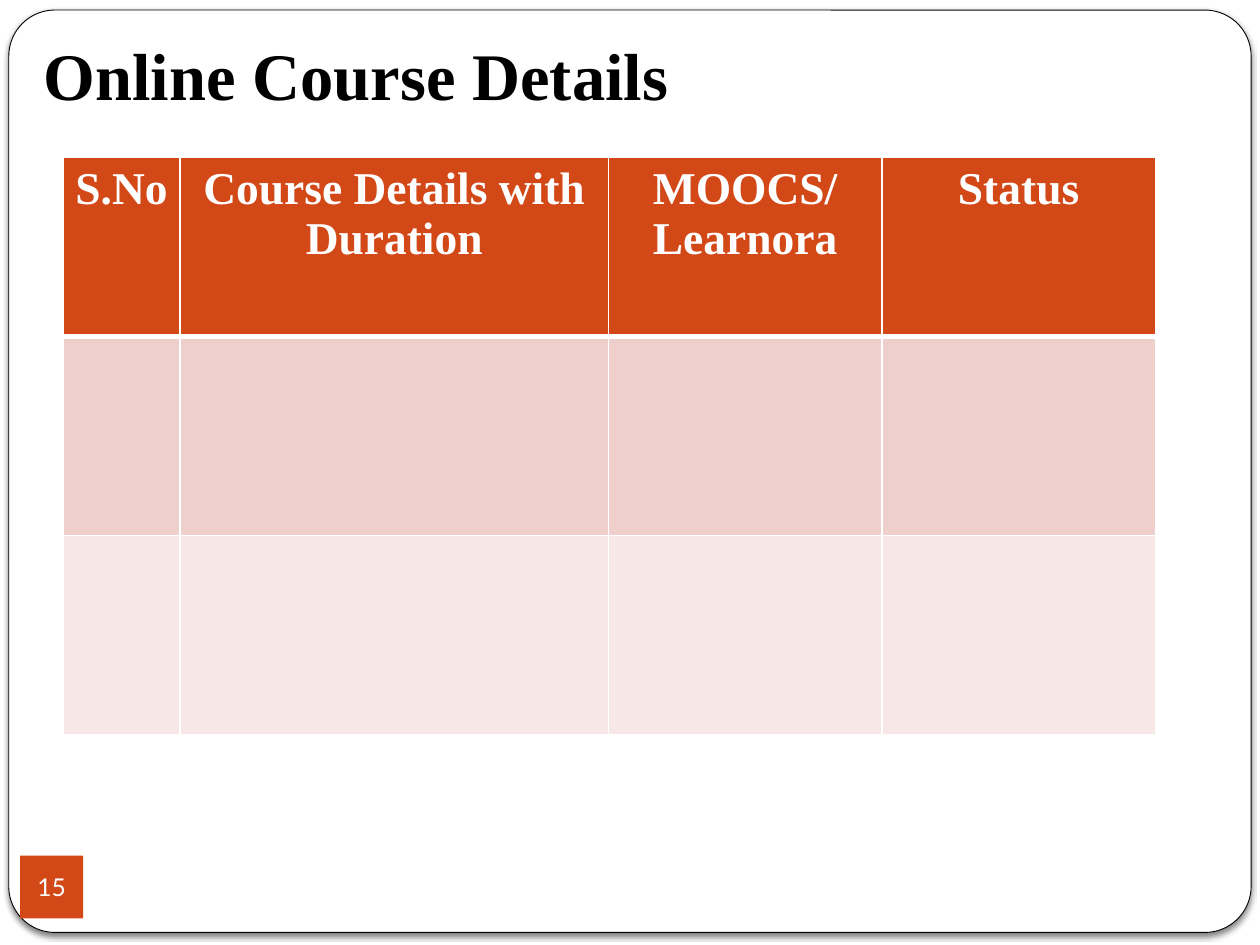
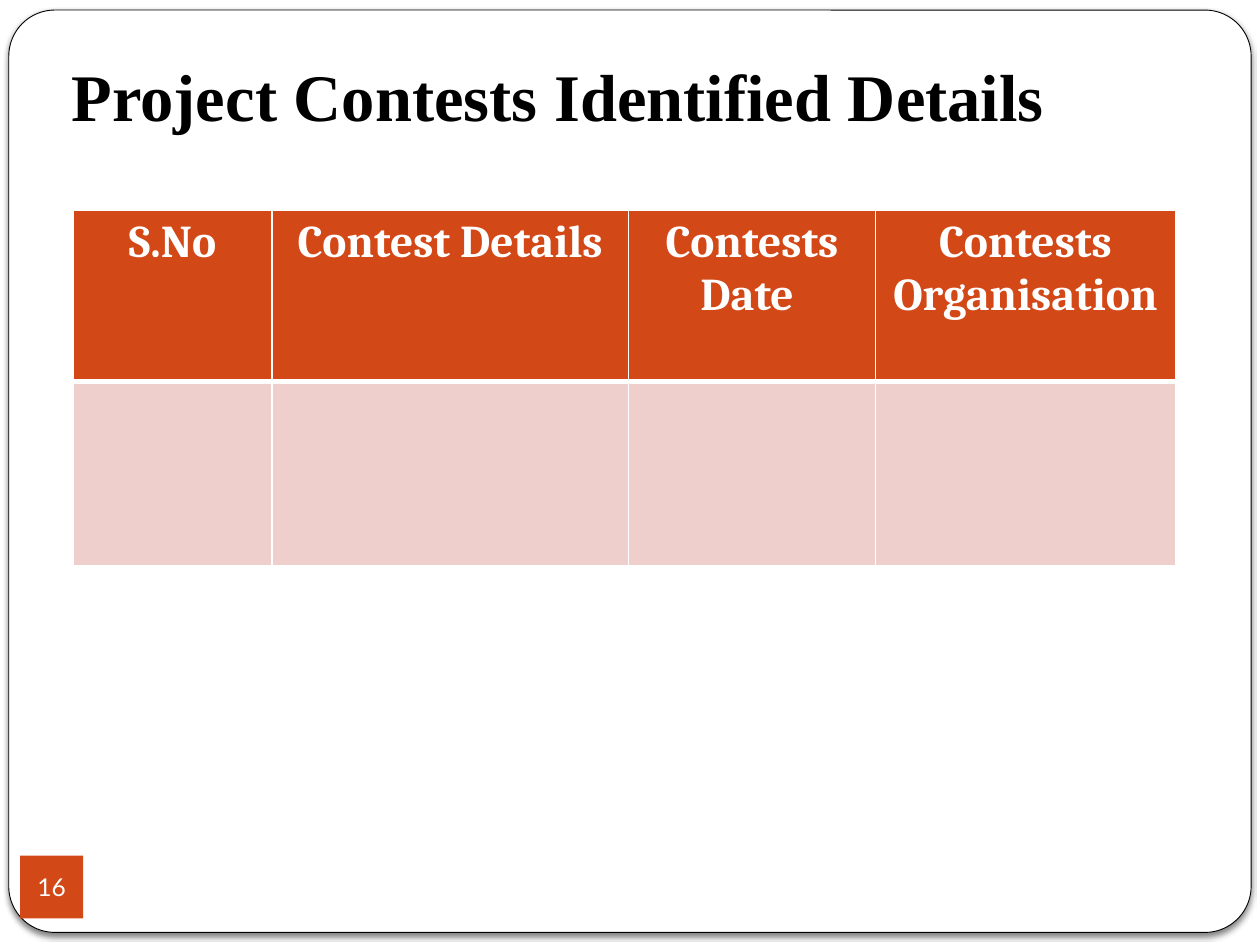
import pptx
import pptx.util
import pptx.dml.color
import pptx.enum.shapes
import pptx.enum.text
import pptx.oxml

Inches, Pt = pptx.util.Inches, pptx.util.Pt
SHAPE = pptx.enum.shapes.MSO_SHAPE
ANCHOR = pptx.enum.text.MSO_ANCHOR
ALIGN = pptx.enum.text.PP_ALIGN
NS = 'xmlns:a="http://schemas.openxmlformats.org/drawingml/2006/main"'

WHITE, BLACK, ORANGE = "FFFFFF", "000000", "D34817"
BANDS = ["EECFCC", "F7E8E7"]
SERIF = "Times New Roman"
SHADOW = (f'<a:effectLst {NS}><a:outerShdw blurRad="{Pt(3)}" dist="{Pt(2)}" dir="5400000" '
          f'algn="t" rotWithShape="0"><a:srgbClr val="{BLACK}"><a:alpha val="50000"/>'
          '</a:srgbClr></a:outerShdw></a:effectLst>')

slides = [
    dict(num="15", title="Online Course Details", box=(0.25, 0.33, 8.5, 0.67),
         spot=(0.5, 1.25), cols=[0.93, 3.4, 2.17, 2.17], rows=[1.42, 1.58, 1.58], font=SERIF,
         heads=["S.No", "Course Details with Duration", "MOOCS/ Learnora", "Status"]),
    dict(num="16", title="Project Contests Identified Details", box=(0.47, 0.3, 8.5, 0.87),
         spot=(0.58, 1.67), cols=[1.58, 2.83, 1.96, 2.38], rows=[1.36, 1.46], font="Cambria",
         heads=["S.No", "Contest Details", "Contests Date ", "Contests Organisation"]),
]


def color(code):
    return pptx.dml.color.RGBColor.from_string(code)


def write(frame, text, size, font, code, bold=False, align=ALIGN.CENTER):
    """Add one styled run to the first paragraph of a text frame."""
    para = frame.paragraphs[0]
    para.alignment = align
    run = para.add_run()
    run.text = text
    run.font.size, run.font.name, run.font.bold = Pt(size), font, bold
    run.font.color.rgb = color(code)


deck = pptx.Presentation()
deck.slide_width, deck.slide_height = Inches(10), Inches(7.5)

for data in slides:
    slide = deck.slides.add_slide(deck.slide_layouts[6])
    shapes = slide.shapes

    # Rounded page frame
    frame = shapes.add_shape(SHAPE.ROUNDED_RECTANGLE, Inches(0.07), Inches(0.08),
                             Inches(9.86), Inches(7.32))
    frame.adjustments[0] = 0.05
    frame.fill.solid()
    frame.fill.fore_color.rgb = color(WHITE)
    frame.line.color.rgb = color(BLACK)
    frame.line.width = Pt(0.5)
    frame._element.spPr.append(pptx.oxml.parse_xml(SHADOW))

    # Title
    title = shapes.add_textbox(*map(Inches, data["box"])).text_frame
    title.word_wrap = True
    title.vertical_anchor = ANCHOR.BOTTOM
    title.margin_bottom = Inches(0.1)
    write(title, data["title"], 38, SERIF, BLACK, True, ALIGN.LEFT)

    # Table
    cols, rows = data["cols"], data["rows"]
    left, top = data["spot"]
    table = shapes.add_table(len(rows), len(cols), Inches(left), Inches(top),
                             Inches(sum(cols)), Inches(sum(rows))).table
    for col, width in zip(table.columns, cols):
        col.width = Inches(width)
    for r, height in enumerate(rows):
        table.rows[r].height = Inches(height)
        for c, head in enumerate(data["heads"]):
            cell = table.cell(r, c)
            cell.margin_left = cell.margin_right = Inches(0.09)
            cell.fill.solid()
            cell.fill.fore_color.rgb = color(BANDS[(r - 1) % 2] if r else ORANGE)
            if r == 0:
                write(cell.text_frame, head, 26, data["font"], WHITE, True)
            props = cell._tc.get_or_add_tcPr()
            for i, side in enumerate("LRTB"):
                thick = (r, side) in [(0, "B"), (1, "T")]
                props.insert(i, pptx.oxml.parse_xml(
                    f'<a:ln{side} {NS} w="{Pt(3 if thick else 0.96)}"><a:solidFill>'
                    f'<a:srgbClr val="{WHITE}"/></a:solidFill></a:ln{side}>'))

    # Page number
    badge = shapes.add_shape(SHAPE.RECTANGLE, Inches(0.16), Inches(6.79),
                             Inches(0.5), Inches(0.5))
    badge.shadow.inherit = False
    badge.fill.solid()
    badge.fill.fore_color.rgb = color(ORANGE)
    badge.line.fill.background()
    text = badge.text_frame
    text.margin_left = text.margin_right = text.margin_top = text.margin_bottom = 0
    text.vertical_anchor = ANCHOR.MIDDLE
    write(text, data["num"], 14, "Lato", WHITE)

deck.save("out.pptx")
